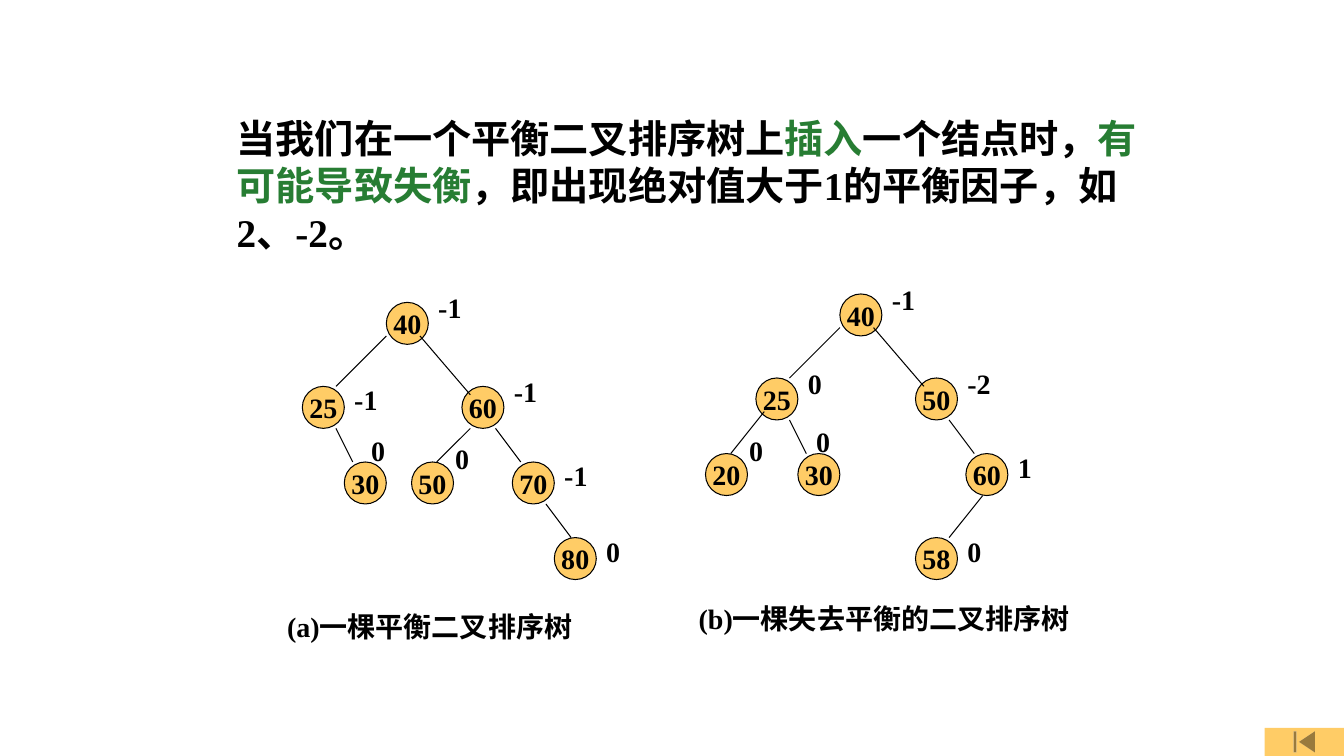
from pptx import Presentation
from pptx.dml.color import RGBColor
from pptx.enum.shapes import MSO_CONNECTOR as Link, MSO_SHAPE as Kind
from pptx.enum.text import MSO_ANCHOR as Anchor, MSO_AUTO_SIZE as Fit, PP_ALIGN as Align
from pptx.oxml.ns import qn
from pptx.util import Cm, Pt
from lxml.etree import SubElement as add_sub

BLACK = "000000"
GOLD = "FFCC66"
GREEN = "277D33"
ROMAN = "Times New Roman"
HAN = "Noto Sans CJK SC"
STEP = 2.54 / 12
NODE = 5

# key, left, top, balance factor, factor offset right, factor offset down
NODES_A = [
    ("40", 46, 36, "-1", 5, -2),
    ("25", 36, 46, "-1", 5, -1),
    ("60", 55, 46, "-1", 5, -2),
    ("30", 41, 55, "0", 2, -4),
    ("50", 49, 55, "0", 4, -3),
    ("70", 61, 55, "-1", 5, -1),
    ("80", 66, 64, "0", 5, -1),
]
EDGES_A = [
    (46, 40, 40, 46),
    (40, 51, 42, 55),
    (50, 40, 56, 47),
    (56, 51, 52, 55),
    (59, 51, 62, 55),
    (65, 60, 68, 64),
]
NODES_B = [
    ("40", 100, 35, "-1", 5, -2),
    ("25", 90, 45, "0", 5, -2),
    ("50", 109, 45, "-2", 5, -2),
    ("20", 84, 54, "0", 4, -3),
    ("30", 95, 54, "0", 1, -4),
    ("60", 115, 54, "1", 5, -1),
    ("58", 109, 64, "0", 5, -1),
]
EDGES_B = [
    (100, 39, 94, 45),
    (94, 50, 96, 54),
    (104, 39, 110, 46),
    (91, 49, 87, 54),
    (113, 50, 116, 54),
    (117, 59, 113, 64),
]
INTRO = [
    ("当我们在一个平衡二叉排序树上", BLACK, HAN),
    ("插入", GREEN, HAN),
    ("一个结点时，", BLACK, HAN),
    ("有可能导致失衡", GREEN, HAN),
    ("，即出现绝对值大于", BLACK, HAN),
    ("1", BLACK, ROMAN),
    ("的平衡因子，如", BLACK, HAN),
    ("2", BLACK, ROMAN),
    ("、", BLACK, HAN),
    ("-2", BLACK, ROMAN),
    ("。", BLACK, HAN),
]


def color(value):
    return RGBColor.from_string(value)


def grid(*marks):
    return [Cm(mark * STEP) for mark in marks]


def add_run(para, text, size=20, tint=BLACK, face=ROMAN):
    run = para.add_run()
    run.text = text
    font = run.font
    font.size = Pt(size)
    font.bold = True
    font.name = face
    font.color.rgb = color(tint)
    add_sub(font._element, qn("a:ea")).set("typeface", HAN)


def add_text(shapes, area, runs, size=20):
    frame = shapes.add_textbox(*grid(*area)).text_frame
    frame.word_wrap = True
    frame.auto_size = Fit.SHAPE_TO_FIT_TEXT
    para = frame.paragraphs[0]
    para.line_spacing = Pt(size * 1.2)
    for text, tint, face in runs:
        add_run(para, text, size, tint, face)


def add_label(shapes, area, text):
    add_text(shapes, area, [(text, BLACK, ROMAN)])


def add_solid(shapes, kind, area):
    shape = shapes.add_shape(kind, *area)
    shape.shadow.inherit = False
    shape.fill.solid()
    shape.fill.fore_color.rgb = color(GOLD)
    return shape


def set_line(line):
    line.color.rgb = color(BLACK)
    line.width = Pt(0.75)


def add_node(shapes, key, left, top):
    node = add_solid(shapes, Kind.OVAL, grid(left, top, NODE, NODE))
    set_line(node.line)
    frame = node.text_frame
    frame.word_wrap = False
    frame.vertical_anchor = Anchor.MIDDLE
    para = frame.paragraphs[0]
    para.alignment = Align.CENTER
    add_run(para, key)


def add_edge(shapes, ends):
    edge = shapes.add_connector(Link.STRAIGHT, *grid(*ends))
    set_line(edge.line)
    add_sub(edge._element.spPr, qn("a:effectLst"))


def add_tree(slide, nodes, edges):
    shapes = slide.shapes.add_group_shape().shapes
    for key, left, top, *_ in nodes:
        add_node(shapes, key, left, top)
    for ends in edges:
        add_edge(shapes, ends)
    for _, left, top, factor, right, down in nodes:
        add_label(shapes, (left + right, top + down, 6, 5), factor)


def add_button(slide):
    area = Cm(31.87), Cm(18.34), Cm(2), Cm(0.71)
    button = add_solid(slide.shapes, Kind.ACTION_BUTTON_BEGINNING, area)
    button.line.fill.background()


def main():
    deck = Presentation()
    deck.slide_width, deck.slide_height = Cm(33.87), Cm(19.05)
    slide = deck.slides.add_slide(deck.slide_layouts[6])
    add_button(slide)
    add_tree(slide, NODES_A, EDGES_A)
    add_tree(slide, NODES_B, EDGES_B)
    add_label(slide.shapes, (33, 72, 40, 5), "(a)一棵平衡二叉排序树")
    add_label(slide.shapes, (82, 71, 48, 5), "(b)一棵失去平衡的二叉排序树")
    add_text(slide.shapes, (27, 13, 110, 18), INTRO, 28)
    deck.save("out.pptx")


if __name__ == "__main__":
    main()
